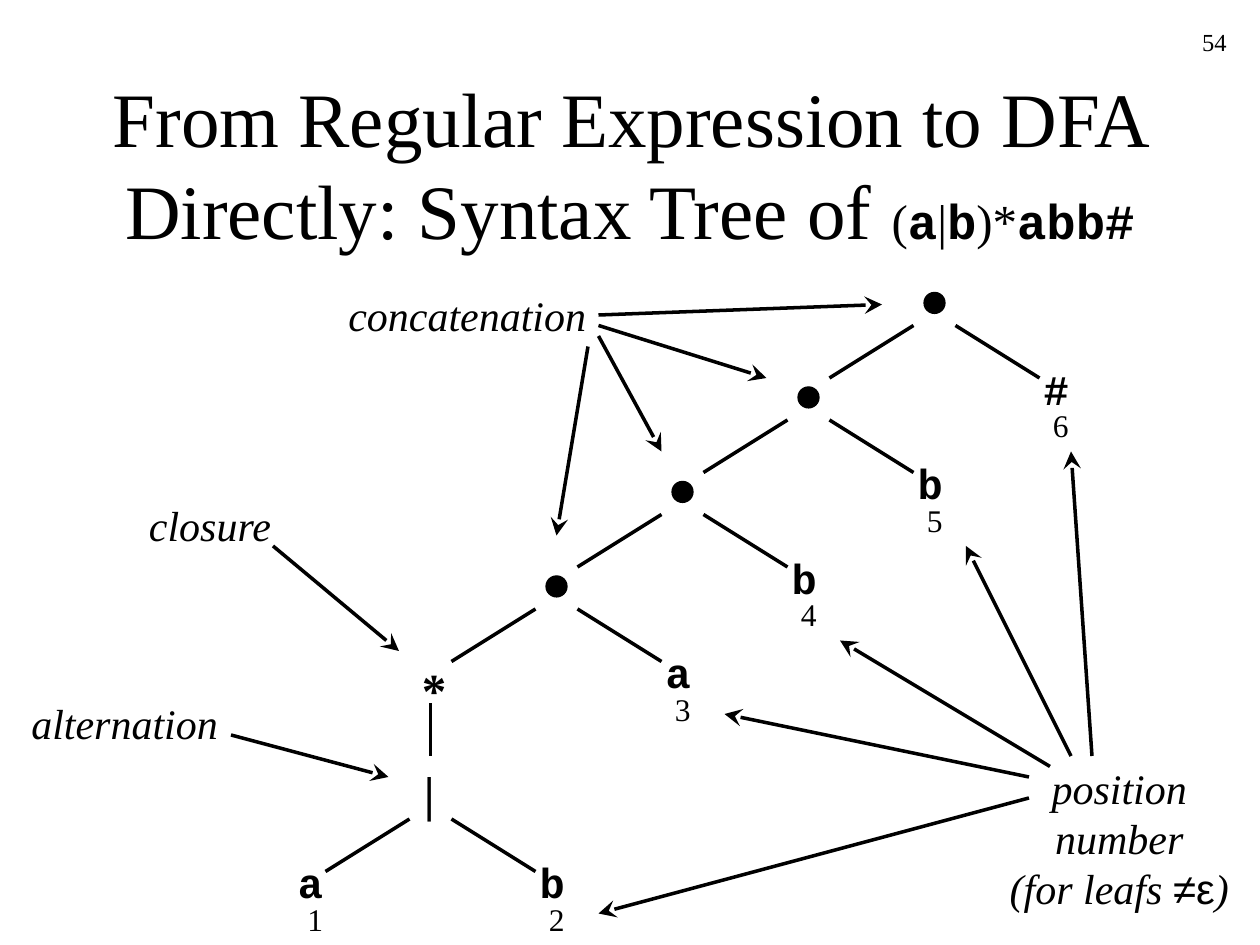
import lxml.etree
import pptx
import pptx.dml.color
import pptx.enum.shapes
import pptx.enum.text
import pptx.oxml.ns
import pptx.util

BLACK = pptx.dml.color.RGBColor(0, 0, 0)
SERIF = "Times New Roman"
MONO = "Courier New"
SANS = "Arial"
ALIGN = pptx.enum.text.PP_ALIGN
COLUMNS, ROWS = 120, 90


class TreeSlide:
    def __init__(self, deck):
        self.page = deck.slides.add_slide(deck.slide_layouts[6])
        self.column = deck.slide_width / COLUMNS
        self.row = deck.slide_height / ROWS

    def place(self, column, row):
        return round(column * self.column), round(row * self.row)

    def span(self, para, words, size, font=SERIF, bold=False, italic=False):
        span = para.add_run()
        span.text = words
        span.font.size = pptx.util.Pt(size)
        span.font.name = font
        span.font.bold = bold
        span.font.italic = italic
        span.font.color.rgb = BLACK

    def box(self, column, row, columns, rows, wrap=False, align=ALIGN.LEFT):
        box = self.page.shapes.add_textbox(*self.place(column, row), *self.place(columns, rows))
        box.text_frame.word_wrap = wrap
        box.text_frame.paragraphs[0].alignment = align
        return box.text_frame

    def text(self, column, row, columns, rows, words, size, align=ALIGN.LEFT, **style):
        frame = self.box(column, row, columns, rows, align=align)
        self.span(frame.paragraphs[0], words, size, **style)

    def title(self, column, row, columns, rows, spans):
        frame = self.box(column, row, columns, rows, wrap=True, align=ALIGN.CENTER)
        frame.vertical_anchor = pptx.enum.text.MSO_ANCHOR.MIDDLE
        for words, size, font in spans:
            self.span(frame.paragraphs[0], words, size, font, bold=font == MONO)

    def line(self, start, end, arrow=False):
        line = self.page.shapes.add_connector(
            pptx.enum.shapes.MSO_CONNECTOR.STRAIGHT, *self.place(*start), *self.place(*end))
        line.line.color.rgb = BLACK
        line.line.width = pptx.util.Pt(2)
        properties = line.element.spPr
        if arrow:
            stroke = properties.find(pptx.oxml.ns.qn("a:ln"))
            lxml.etree.SubElement(
                stroke, pptx.oxml.ns.qn("a:tailEnd"), type="stealth", w="lg", len="lg")
        lxml.etree.SubElement(properties, pptx.oxml.ns.qn("a:effectLst"))

    def dot(self, column, row):
        dot = self.page.shapes.add_shape(
            pptx.enum.shapes.MSO_SHAPE.OVAL, *self.place(column, row), *self.place(2, 2))
        dot.shadow.inherit = False
        dot.fill.solid()
        dot.fill.fore_color.rgb = BLACK
        dot.line.color.rgb = BLACK
        dot.line.width = pptx.util.Pt(0.75)

    def fork(self, column, row):
        for side in (-1, 1):
            self.line((column + 2 * side, row), (column + 10 * side, row + 5))

    def leaf(self, column, row, symbol, position):
        self.text(column, row, 4, 6, symbol, 24, font=MONO, bold=True)
        self.text(column + 0.9, row + 4.1, 3.8, 4.8, position, 18)


def main():
    deck = pptx.Presentation()
    deck.slide_width = pptx.util.Inches(10)
    deck.slide_height = pptx.util.Inches(7.5)
    slide = TreeSlide(deck)

    slide.text(93, 2, 25, 6, "54", 14, align=ALIGN.RIGHT)
    slide.title(9, 8, 102, 15, [
        ("From Regular Expression to DFA Directly: Syntax Tree of ", 44, SERIF),
        ("(", 28, SERIF), ("a", 28, MONO), ("|", 28, SERIF), ("b", 28, MONO),
        (")*", 28, SERIF), ("abb#", 28, MONO)])

    for level, (symbol, position) in enumerate([("#", "6"), ("b", "5"), ("b", "4"), ("a", "3")]):
        column, row = 89 - 12 * level, 31 + 9 * level
        slide.dot(column - 1, row - 3.15)
        slide.fork(column, row)
        slide.leaf(column + 9.2, row + 3, symbol, position)

    slide.text(39, 62.2, 4.8, 6.8, "*", 28, bold=True)
    slide.line((41, 67), (41, 72))
    slide.text(39.2, 72, 4.8, 6.8, "|", 28, bold=True)
    slide.fork(41, 78)
    slide.leaf(27.2, 81, "a", "1")
    slide.leaf(50.2, 81, "b", "2")

    for column, row, columns, words in [
            (32, 27, 25.5, "concatenation"),
            (13, 47, 14.5, "closure"),
            (1.8, 65.8, 20.5, "alternation")]:
        slide.text(column, row, columns, 6, words, 24, italic=True)

    legend = slide.box(94.5, 72, 24.2, 15.6, align=ALIGN.CENTER)
    para = legend.paragraphs[0]
    slide.span(para, "position", 24, italic=True)
    para.add_line_break()
    slide.span(para, "number", 24, italic=True)
    para = legend.add_paragraph()
    para.alignment = ALIGN.CENTER
    slide.span(para, "(for leafs ", 24, italic=True)
    slide.span(para, "≠ε", 24, SANS)
    slide.span(para, ")", 24, italic=True)

    for start, end in [
            ((57, 30), (84, 29)), ((57, 31), (73, 36)),
            ((57, 32), (63, 43)), ((56, 33), (53, 51)),
            ((26, 52), (38, 62)), ((22, 70), (37, 74)),
            ((104, 72), (102, 43)), ((102, 72), (92, 52)),
            ((100, 73), (80, 61)), ((98, 74), (69, 68)),
            ((98, 76), (57, 87))]:
        slide.line(start, end, arrow=True)

    deck.save("out.pptx")


if __name__ == "__main__":
    main()
